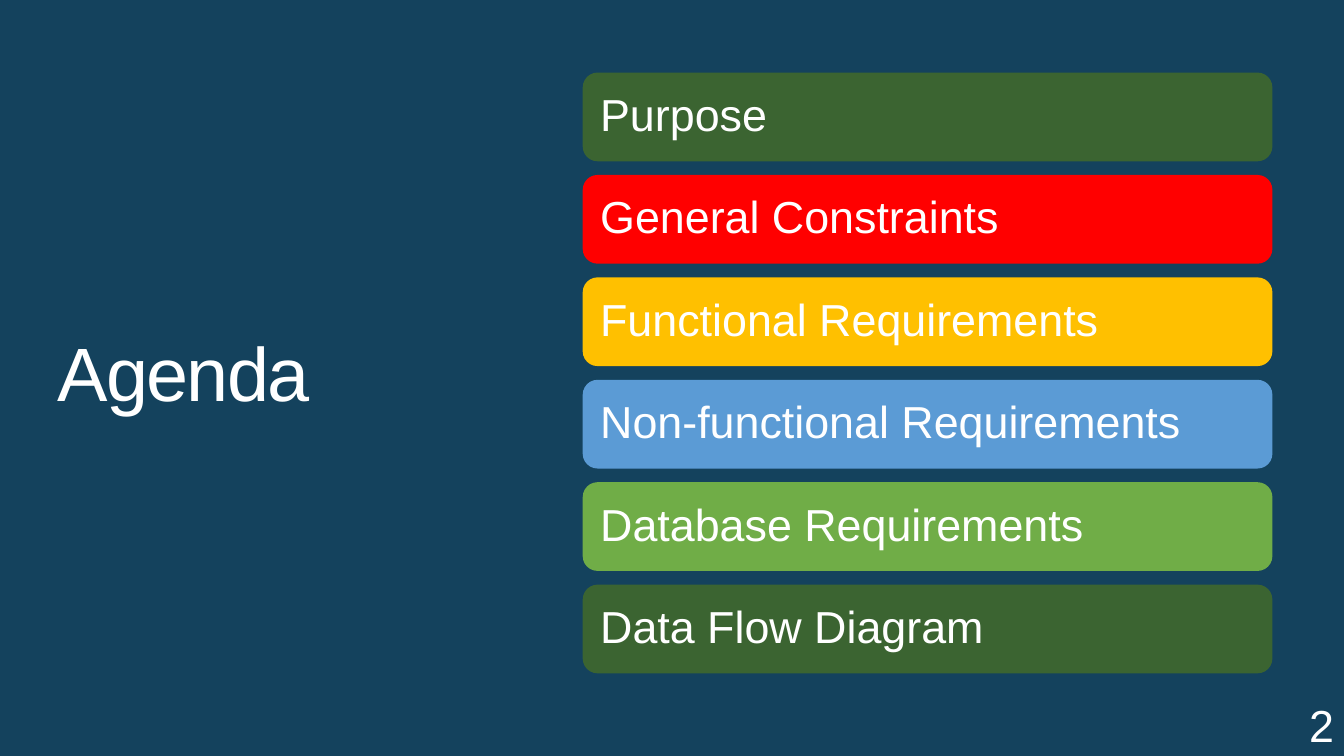
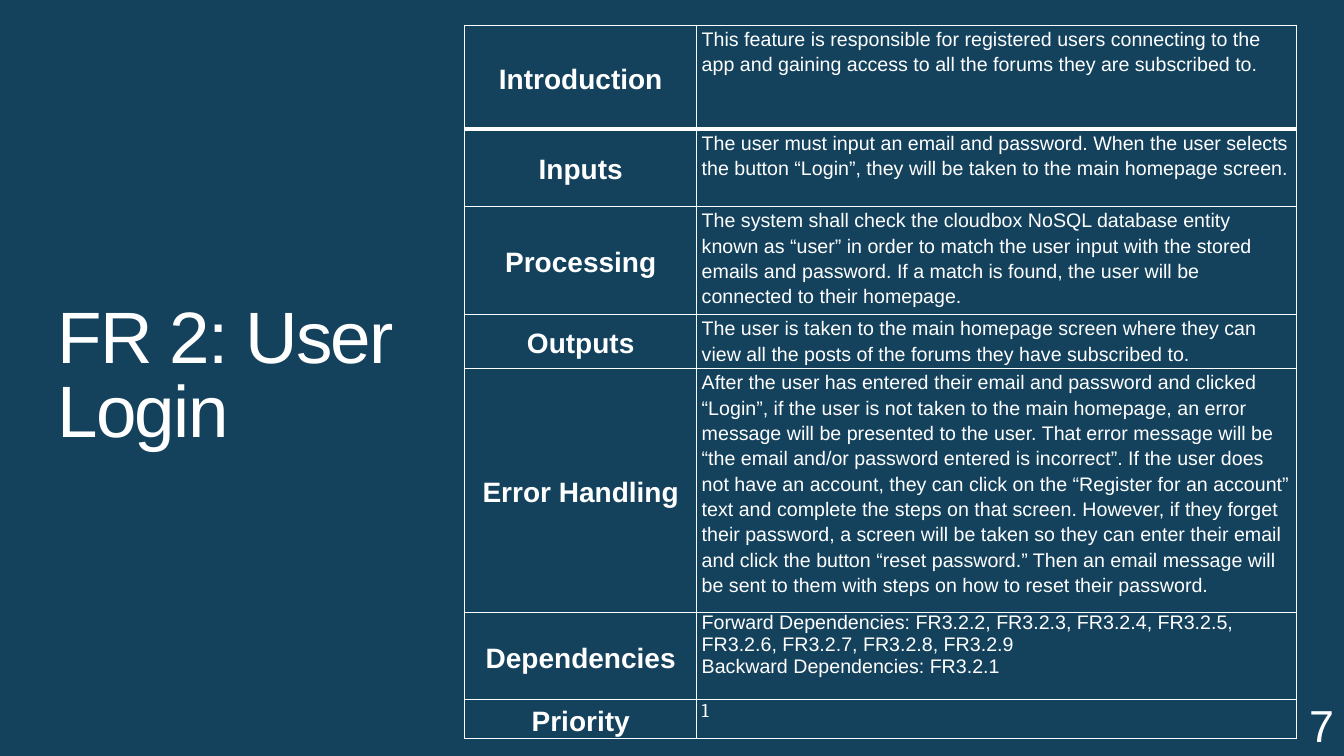
from lxml import etree
from pptx import Presentation
from pptx.dml.color import RGBColor
from pptx.enum.shapes import MSO_SHAPE
from pptx.enum.text import MSO_ANCHOR, PP_ALIGN
from pptx.oxml.ns import qn
from pptx.util import Inches, Pt

ROUND = MSO_SHAPE.ROUNDED_RECTANGLE
TOP, MIDDLE, BOTTOM = MSO_ANCHOR.TOP, MSO_ANCHOR.MIDDLE, MSO_ANCHOR.BOTTOM
LEFT, CENTER, RIGHT = PP_ALIGN.LEFT, PP_ALIGN.CENTER, PP_ALIGN.RIGHT

NAVY = RGBColor(0x14, 0x42, 0x5D)
WHITE = RGBColor(0xFF, 0xFF, 0xFF)
FOREST = RGBColor(0x3B, 0x64, 0x31)
RED = RGBColor(0xFF, 0x00, 0x00)
AMBER = RGBColor(0xFF, 0xC0, 0x00)
BLUE = RGBColor(0x5B, 0x9B, 0xD5)
GREEN = RGBColor(0x70, 0xAD, 0x47)

TOPICS = [
    ("Purpose", FOREST),
    ("General Constraints", RED),
    ("Functional Requirements", AMBER),
    ("Non-functional Requirements", BLUE),
    ("Database Requirements", GREEN),
    ("Data Flow Diagram", FOREST),
]
BAR_X, BAR_Y, BAR_W, BAR_H, BAR_END = 5.78, 0.72, 6.84, 0.88, 6.68

LOOSE = {"lead": 1.15}
PLAIN = {}
SERIF = {"font": "Cambria"}
LOGIN = [
    ("Introduction", 1.03, LOOSE, [
        "This feature is responsible for registered users connecting to the "
        "app and gaining access to all the forums they are subscribed to."]),
    ("Inputs", 0.77, LOOSE, [
        "The user must input an email and password. When the user selects "
        "the button “Login”, they will be taken to the main homepage screen."]),
    ("Processing", 1.05, LOOSE, [
        "The system shall check the cloudbox NoSQL database entity known "
        "as “user” in order to match the user input with the stored emails "
        "and password. If a match is found, the user will be connected to "
        "their homepage."]),
    ("Outputs", 0.52, LOOSE, [
        "The user is taken to the main homepage screen where they can "
        "view all the posts of the forums they have subscribed to."]),
    ("Error Handling", 2.4, LOOSE, [
        "After the user has entered their email and password and clicked "
        "“Login”, if the user is not taken to the main homepage, an error "
        "message will be presented to the user. That error message will be "
        "“the email and/or password entered is incorrect”. If the user does "
        "not have an account, they can click on the “Register for an account” "
        "text and complete the steps on that screen. However, if they forget "
        "their password, a screen will be taken so they can enter their email "
        "and click the button “reset password.” Then an email message will "
        "be sent to them with steps on how to reset their password."]),
    ("Dependencies", 0.87, PLAIN, [
        "Forward Dependencies: FR3.2.2, FR3.2.3, FR3.2.4, FR3.2.5, "
        "FR3.2.6, FR3.2.7, FR3.2.8, FR3.2.9",
        "Backward Dependencies: FR3.2.1"]),
    ("Priority", 0.36, SERIF, ["1"]),
]
COLS = [2.3, 5.95]
GRID_X, GRID_Y = 4.61, 0.25
THIN, THICK = 1, 3


def write(frame, *lines, size, font="Arial", bold=False, align=LEFT,
          lead=1.0, track=0):
    for i, line in enumerate(lines):
        para = frame.paragraphs[0] if i == 0 else frame.add_paragraph()
        para.alignment = align
        para.line_spacing = lead
        run = para.add_run()
        run.text = line
        run.font.size = Pt(size)
        run.font.name = font
        run.font.bold = bold
        run.font.color.rgb = WHITE
        if track:
            run.font._element.set("spc", str(int(track * 100)))


def add_label(slide, box, text, anchor, **look):
    frame = slide.shapes.add_textbox(*map(Inches, box)).text_frame
    frame.word_wrap = True
    frame.vertical_anchor = anchor
    write(frame, text, **look)


def add_page(deck, title, number, width, size):
    slide = deck.slides.add_slide(deck.slide_layouts[6])
    slide.background.fill.solid()
    slide.background.fill.fore_color.rgb = NAVY
    add_label(slide, (0.47, 0.75, width, 6.01), title, MIDDLE,
              size=size, lead=0.85, track=-1.2)
    add_label(slide, (12.77, 6.83, 0.56, 0.67), number, BOTTOM,
              size=32, align=RIGHT)
    return slide


def add_bars(slide):
    pitch = (BAR_END - BAR_Y - BAR_H) / (len(TOPICS) - 1)
    for i, (topic, color) in enumerate(TOPICS):
        box = (BAR_X, BAR_Y + i * pitch, BAR_W, BAR_H)
        bar = slide.shapes.add_shape(ROUND, *map(Inches, box))
        bar.shadow.inherit = False
        bar.fill.solid()
        bar.fill.fore_color.rgb = color
        bar.line.fill.background()
        frame = bar.text_frame
        frame.word_wrap = True
        frame.vertical_anchor = MIDDLE
        frame.margin_left = frame.margin_right = Inches(0.13)
        write(frame, topic, size=32, lead=0.9)


def set_edges(cell, **edges):
    props = cell._tc.get_or_add_tcPr()
    for side, width in edges.items():
        edge = etree.SubElement(props, qn("a:ln" + side), w=str(Pt(width)))
        fill = etree.SubElement(edge, qn("a:solidFill"))
        etree.SubElement(fill, qn("a:srgbClr"), val=str(WHITE))


def add_grid(slide):
    high = sum(row[1] for row in LOGIN)
    box = (GRID_X, GRID_Y, sum(COLS), high)
    grid = slide.shapes.add_table(len(LOGIN), len(COLS),
                                  *map(Inches, box)).table
    grid.first_row = grid.horz_banding = False
    for col, width in zip(grid.columns, COLS):
        col.width = Inches(width)
    for r, (head, height, look, body) in enumerate(LOGIN):
        grid.rows[r].height = Inches(height)
        for cell in grid.rows[r].cells:
            set_edges(cell, L=THIN, R=THIN, T=THICK if r == 1 else THIN,
                      B=THICK if r == 0 else THIN)
            cell.fill.solid()
            cell.fill.fore_color.rgb = NAVY
            cell.margin_left = cell.margin_right = Inches(0.05)
            cell.margin_top = cell.margin_bottom = 0
        name, text = grid.rows[r].cells
        name.vertical_anchor = MIDDLE
        text.vertical_anchor = TOP
        write(name.text_frame, head, size=20, bold=True, align=CENTER,
              lead=1.15)
        write(text.text_frame, *body, size=14, **look)


def main():
    deck = Presentation()
    deck.slide_width, deck.slide_height = Inches(13.33), Inches(7.5)
    add_bars(add_page(deck, "Agenda", "2", 4.37, 54))
    add_grid(add_page(deck, "FR 2: User Login", "7", 4.1, 52))
    deck.save("out.pptx")


if __name__ == "__main__":
    main()
